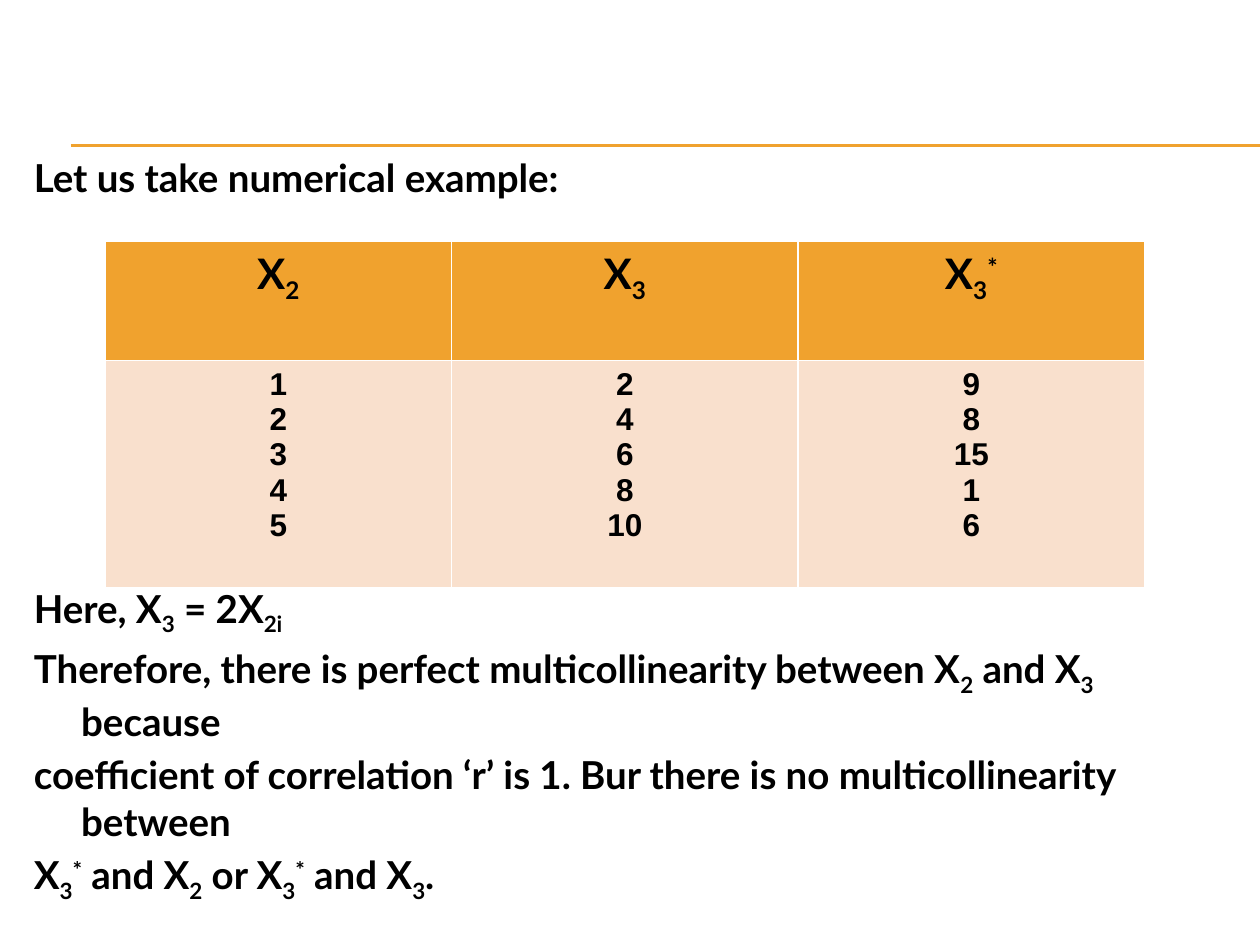
"""Build a slide with a numerical example of perfect multicollinearity."""
from dataclasses import dataclass

from pptx import Presentation
from pptx.dml.color import RGBColor
from pptx.enum import shapes, text
from pptx.oxml import xmlchemy
from pptx.slide import Slide
from pptx.util import Pt

BLACK = RGBColor(0x00, 0x00, 0x00)
ORANGE = RGBColor(0xF0, 0xA2, 0x2E)
PEACH = RGBColor(0xF9, 0xE0, 0xCD)

BODY_FONT = {"name": "Lato", "size": Pt(22), "bold": True}
HEADER_FONT = {"name": "Lato", "size": Pt(24), "bold": True}
VALUE_FONT = {"name": "Arial", "size": Pt(18), "bold": True}
BASELINES = {"_": "-25000", "^": "30000"}

RULE_TOPS = [82.8, 82.8, 83.5]
BODY_BOX = (12.2, 84.2, 696.2, 450)
TABLE_BOX = (60, 138, 594, 198)
ROW_HEIGHTS = [68, 130]
TABLE_GAP = 220
PARAGRAPH_GAP = 4.4

PARAGRAPHS = [
    ("Let us take numerical example:", 0),
    ("Here, X|_3| = 2X|_2i", TABLE_GAP),
    ("Therefore, there is perfect multicollinearity between X|_2| and X|_3| because",
     PARAGRAPH_GAP),
    ("coefficient of correlation ‘r’ is 1. Bur there is no multicollinearity between",
     PARAGRAPH_GAP),
    ("X|_3|^*| and X|_2| or X|_3|^*| and X|_3|.", PARAGRAPH_GAP),
]
COLUMNS = {
    "X|_2": [1, 2, 3, 4, 5],
    "X|_3": [2, 4, 6, 8, 10],
    "X|_3|^*": [9, 8, 15, 1, 6],
}


def apply_format(target, values):
    for name, value in values.items():
        setattr(target, name, value)


@dataclass
class SlideBuilder:
    slide: Slide
    text_color: RGBColor = BLACK
    accent: RGBColor = ORANGE

    def add_runs(self, paragraph, marked_text, font):
        for part in marked_text.split("|"):
            baseline = BASELINES.get(part[0])
            run = paragraph.add_run()
            run.text = part[1:] if baseline else part
            apply_format(run.font, font)
            run.font.color.rgb = self.text_color
            if baseline:
                run.font._element.set("baseline", baseline)

    def rule(self, top):
        line = self.slide.shapes.add_connector(
            shapes.MSO_CONNECTOR.STRAIGHT, Pt(40.5), Pt(top), Pt(720), Pt(top))
        line.line.color.rgb = self.accent
        line.line.width = Pt(0.75)
        line._element.spPr.append(xmlchemy.OxmlElement("a:effectLst"))

    def body(self, box, paragraphs):
        shape = self.slide.placeholders[1]
        apply_format(shape, dict(zip(("left", "top", "width", "height"), map(Pt, box))))
        frame = shape.text_frame
        apply_format(frame, {"word_wrap": True, "auto_size": text.MSO_AUTO_SIZE.NONE,
                             "vertical_anchor": text.MSO_ANCHOR.TOP})
        for index, (marked_text, gap) in enumerate(paragraphs):
            paragraph = frame.add_paragraph() if index else frame.paragraphs[0]
            paragraph.space_before = Pt(gap)
            properties = paragraph._p.get_or_add_pPr()
            properties.set("marL", str(Pt(27)))
            properties.set("indent", str(Pt(-27)))
            properties.append(xmlchemy.OxmlElement("a:buNone"))
            self.add_runs(paragraph, marked_text, BODY_FONT)

    def cell(self, cell, lines, font, fill):
        cell.fill.solid()
        cell.fill.fore_color.rgb = fill
        for index, line in enumerate(lines):
            frame = cell.text_frame
            paragraph = frame.add_paragraph() if index else frame.paragraphs[0]
            paragraph.alignment = text.PP_ALIGN.CENTER
            self.add_runs(paragraph, str(line), font)

    def table(self, box, columns):
        table = self.slide.shapes.add_table(2, len(columns), *map(Pt, box)).table
        for row, height in zip(table.rows, ROW_HEIGHTS):
            row.height = Pt(height)
        for index, (header, values) in enumerate(columns.items()):
            self.cell(table.cell(0, index), [header], HEADER_FONT, self.accent)
            self.cell(table.cell(1, index), values, VALUE_FONT, PEACH)


def main():
    presentation = Presentation()
    apply_format(presentation, {"slide_width": Pt(720), "slide_height": Pt(540)})
    slide = presentation.slides.add_slide(presentation.slide_layouts[1])
    title = slide.shapes.title._element
    title.getparent().remove(title)
    builder = SlideBuilder(slide)
    for top in RULE_TOPS:
        builder.rule(top)
    builder.body(BODY_BOX, PARAGRAPHS)
    builder.table(TABLE_BOX, COLUMNS)
    presentation.save("out.pptx")


if __name__ == "__main__":
    main()
